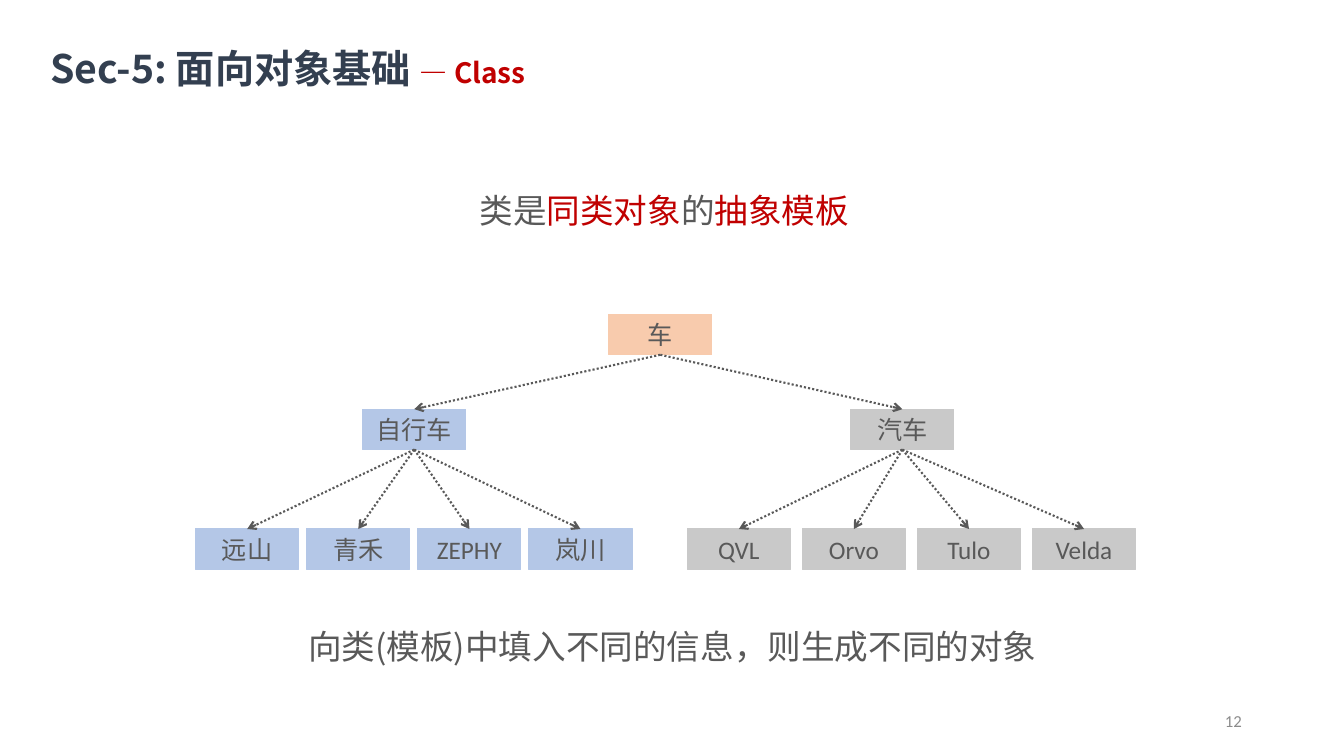
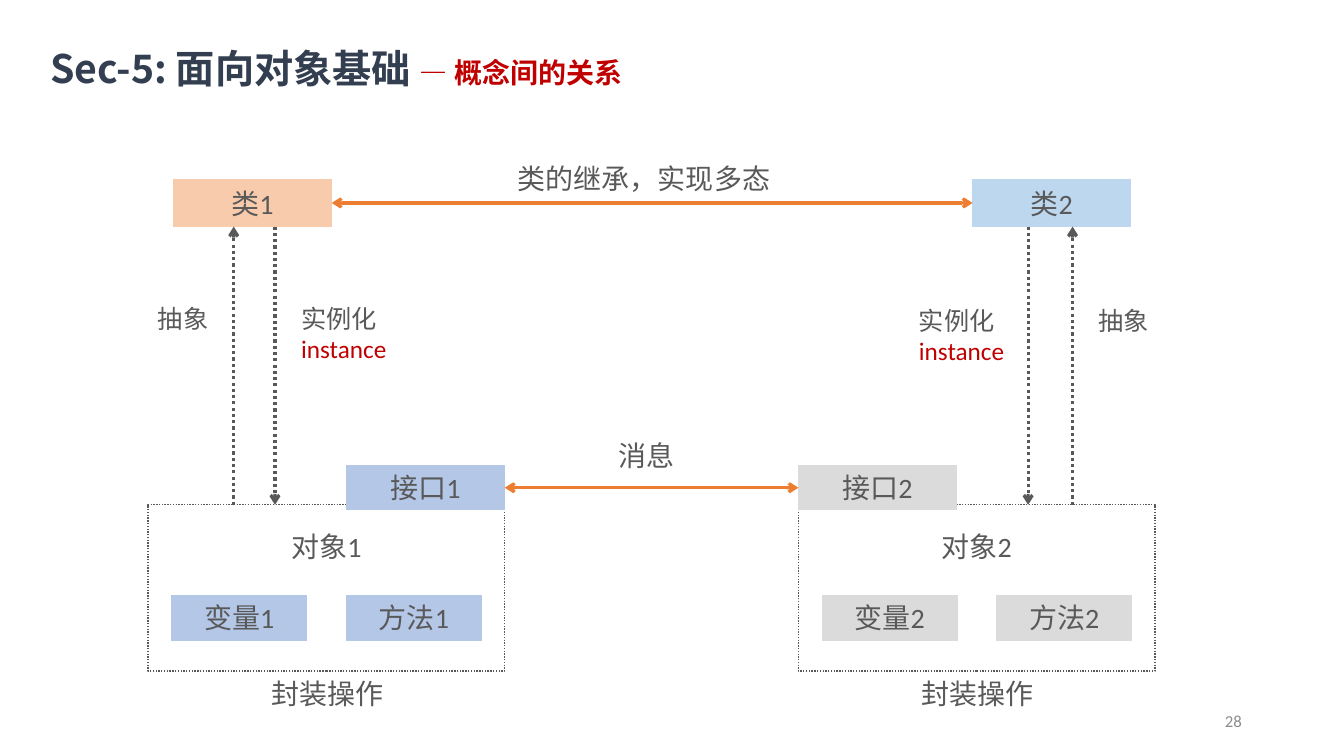
from dataclasses import dataclass
from typing import NamedTuple

from lxml import etree
from pptx import Presentation
from pptx.dml.color import RGBColor
from pptx.enum.dml import MSO_LINE
from pptx.enum.shapes import MSO_CONNECTOR, MSO_SHAPE
from pptx.enum.text import MSO_ANCHOR, MSO_AUTO_SIZE, PP_ALIGN
from pptx.oxml.ns import qn
from pptx.util import Cm, Pt

RECTANGLE = MSO_SHAPE.RECTANGLE
STRAIGHT = MSO_CONNECTOR.STRAIGHT
DOTTED = MSO_LINE.ROUND_DOT
LEFT, CENTER, RIGHT = PP_ALIGN.LEFT, PP_ALIGN.CENTER, PP_ALIGN.RIGHT
TOP, MIDDLE = MSO_ANCHOR.TOP, MSO_ANCHOR.MIDDLE
TITLE_ONLY = 5
TOP_SITE, LEFT_SITE, BOTTOM_SITE, RIGHT_SITE = range(4)


@dataclass(frozen=True)
class Theme:
    latin: str = "Calibri"
    chinese: str = "Noto Sans CJK SC"
    text: str = "595959"
    heading: str = "333F50"
    accent: str = "C00000"
    number: str = "8C8C8C"
    arrow: str = "ED7D31"
    peach: str = "F8CBAD"
    blue: str = "B4C7E7"
    sky: str = "BDD7EE"
    gray: str = "C9C9C9"
    light_gray: str = "DBDBDB"
    title_size: int = 28
    statement_size: int = 24
    label_size: int = 20
    small_size: int = 18
    number_size: int = 12


THEME = Theme()


class Area(NamedTuple):
    """Left, top, width and height in centimetres."""
    left: float
    top: float
    width: float
    height: float

    def lengths(self) -> tuple:
        return tuple(Cm(value) for value in self)


class Span(NamedTuple):
    text: str
    color: str = THEME.text


@dataclass(frozen=True)
class TextStyle:
    size: int = THEME.label_size
    font: str = THEME.latin
    align: PP_ALIGN = CENTER
    anchor: MSO_ANCHOR = TOP
    bold: bool = False


@dataclass(frozen=True)
class Branch:
    name: str
    left: float
    color: str
    leaves: tuple
    first_leaf: float
    step: float


@dataclass(frozen=True)
class ObjectGroup:
    """One class with its object; the shifts are measured from the frame's left."""
    number: int
    left: float
    class_shift: float
    interface_shift: float
    class_color: str
    color: str


LABEL = TextStyle()
NODE = TextStyle(THEME.small_size)
SIDE_LABEL = TextStyle(THEME.small_size, align=LEFT)
CHINESE_LABEL = TextStyle(font=THEME.chinese)
STATEMENT = TextStyle(THEME.statement_size, THEME.chinese)
CLASS_LABEL = TextStyle(anchor=MIDDLE)
PAGE_NUMBER = TextStyle(THEME.number_size, align=RIGHT, anchor=MIDDLE)
TITLE = TextStyle(THEME.title_size, THEME.chinese, LEFT, TOP, True)

BRANCHES = (
    Branch("自行车", 9.14, THEME.blue, ("远山", "青禾", "ZEPHY", "岚川"), 4.93, 2.8),
    Branch("汽车", 21.44, THEME.gray, ("QVL", "Orvo", "Tulo", "Velda"), 17.32, 2.9),
)
GROUPS = (
    ObjectGroup(1, 3.73, 0.64, 5, THEME.peach, THEME.blue),
    ObjectGroup(2, 20.12, 4.39, 0, THEME.sky, THEME.light_gray),
)


def write(frame, paragraphs: list, style: TextStyle) -> None:
    """Fill a text frame with paragraphs, each a list of spans."""
    frame.auto_size = MSO_AUTO_SIZE.NONE
    frame.word_wrap = True
    frame.vertical_anchor = style.anchor
    for index, spans in enumerate(paragraphs):
        paragraph = frame.paragraphs[0] if index == 0 else frame.add_paragraph()
        paragraph.alignment = style.align
        for span in spans:
            run = paragraph.add_run()
            run.text = span.text
            run.font.size = Pt(style.size)
            run.font.name = style.font
            run.font.bold = style.bold
            run.font.color.rgb = RGBColor.from_string(span.color)
            east_asian = etree.SubElement(run.font._element, qn("a:ea"))
            east_asian.set("typeface", THEME.chinese)


def add_text(page, area: Area, paragraphs: list, style: TextStyle = LABEL) -> None:
    box = page.shapes.add_textbox(*area.lengths())
    write(box.text_frame, paragraphs, style)


def add_box(page, area: Area, text: str, color: str, style: TextStyle = LABEL):
    box = page.shapes.add_shape(RECTANGLE, *area.lengths())
    box.shadow.inherit = False
    box.fill.solid()
    box.fill.fore_color.rgb = RGBColor.from_string(color)
    box.line.color.rgb = RGBColor.from_string(color)
    box.line.width = Pt(0.75)
    write(box.text_frame, [[Span(text)]], style)
    return box


def add_frame(page, area: Area) -> None:
    frame = page.shapes.add_shape(RECTANGLE, *area.lengths())
    frame.shadow.inherit = False
    frame.fill.background()
    frame.line.color.rgb = RGBColor.from_string(THEME.text)
    frame.line.width = Pt(1)
    frame.line.dash_style = DOTTED


def add_arrow(page, start: tuple, end: tuple, color: str, width: float, double: bool = False):
    points = [Cm(value) for value in (*start, *end)]
    arrow = page.shapes.add_connector(STRAIGHT, *points)
    arrow.line.color.rgb = RGBColor.from_string(color)
    arrow.line.width = Pt(width)
    if not double:
        arrow.line.dash_style = DOTTED
    line = arrow.line._get_or_add_ln()
    for tag in ("a:headEnd", "a:tailEnd") if double else ("a:tailEnd",):
        etree.SubElement(line, qn(tag)).set("type", "arrow")
    etree.SubElement(arrow._element.spPr, qn("a:effectLst"))
    return arrow


def link(page, source, target, sites: tuple, color: str, width: float, double: bool = False) -> None:
    """Join two boxes with an arrow glued to their connection sites."""
    arrow = add_arrow(page, (0, 0), (1, 1), color, width, double)
    arrow.begin_connect(source, sites[0])
    arrow.end_connect(target, sites[1])


def add_page(deck, topic: str, number: int):
    page = deck.slides.add_slide(deck.slide_layouts[TITLE_ONLY])
    title = page.shapes.title
    title.left, title.top, title.width, title.height = Area(1.27, 1.07, 16.46, 1.22).lengths()
    frame = title.text_frame
    frame.margin_left = frame.margin_right = frame.margin_bottom = 0
    frame.margin_top = Cm(0.05)
    spans = [Span("Sec-5: 面向对象基础 ", THEME.heading), Span("— " + topic, THEME.accent)]
    write(frame, [spans], TITLE)
    frame.paragraphs[0].runs[1].font.size = Pt(THEME.label_size)
    add_text(page, Area(23.93, 17.65, 7.62, 1.02), [[Span(str(number), THEME.number)]], PAGE_NUMBER)
    return page


def build_class_tree(deck) -> None:
    page = add_page(deck, "Class", 12)
    add_text(page, Area(5.74, 4.65, 22, 1.27), [[
        Span("类是"), Span("同类对象", THEME.accent),
        Span("的"), Span("抽象模板", THEME.accent),
    ]], STATEMENT)

    def node(left: float, top: float, text: str, color: str):
        return add_box(page, Area(left, top, 2.6, 1.02), text, color, NODE)

    def descend(parent, child) -> None:
        link(page, parent, child, (BOTTOM_SITE, TOP_SITE), THEME.text, 1.5)

    root = node(15.34, 7.92, "车", THEME.peach)
    for branch in BRANCHES:
        parent = node(branch.left, 10.31, branch.name, branch.color)
        descend(root, parent)
        for index, name in enumerate(branch.leaves):
            left = branch.first_leaf + index * branch.step
            descend(parent, node(left, 13.33, name, branch.color))
    add_text(page, Area(5.54, 15.65, 22.81, 1.27),
             [[Span("向类(模板)中填入不同的信息，则生成不同的对象")]], STATEMENT)


def add_object_group(page, group: ObjectGroup) -> tuple:
    """Draw a class and its object; return the class and interface boxes."""
    left, number = group.left, group.number
    add_frame(page, Area(left, 12.72, 8.99, 4.19))
    add_text(page, Area(left + 2.59, 13.21, 3.81, 1.12), [[Span(f"对象{number}")]])
    for shift, name in ((0.6, "变量"), (5, "方法")):
        add_box(page, Area(left + shift, 15.01, 3.4, 1.12), f"{name}{number}", group.color)
    add_text(page, Area(left + 1.68, 16.92, 5.69, 1.12), [[Span("封装操作")]], CHINESE_LABEL)
    interface = add_box(page, Area(left + group.interface_shift, 11.73, 3.99, 1.12),
                        f"接口{number}", group.color)
    class_box = add_box(page, Area(left + group.class_shift, 4.52, 3.99, 1.19),
                        f"类{number}", group.class_color, CLASS_LABEL)
    return class_box, interface


def build_relations(deck) -> None:
    page = add_page(deck, "概念间的关系", 28)
    first, second = (add_object_group(page, group) for group in GROUPS)
    for source, target in zip(first, second):
        link(page, source, target, (RIGHT_SITE, LEFT_SITE), THEME.arrow, 2.25, True)
    add_text(page, Area(12.52, 3.94, 7.42, 1.12), [[Span("类的继承，实现多态")]], CHINESE_LABEL)
    add_text(page, Area(15.09, 10.92, 2.39, 1.12), [[Span("消息")]])

    class_bottom, object_top = 5.71, 12.72
    for x in (5.89, 27.03):
        add_arrow(page, (x, object_top), (x, class_bottom), THEME.text, 2.25)
    for x in (6.93, 25.91):
        add_arrow(page, (x, class_bottom), (x, object_top), THEME.text, 2.25)

    abstraction = [[Span("抽象")]]
    instantiation = [[Span("实例化")], [Span("instance", THEME.accent)]]
    for area in (Area(3.73, 7.52, 2.16, 1.02), Area(27.43, 7.57, 3.5, 1.02)):
        add_text(page, area, abstraction, SIDE_LABEL)
    for area in (Area(7.34, 7.52, 3.5, 1.8), Area(22.91, 7.57, 3.07, 1.8)):
        add_text(page, area, instantiation, SIDE_LABEL)


def main() -> None:
    deck = Presentation()
    deck.slide_width, deck.slide_height = Cm(33.87), Cm(19.05)
    build_class_tree(deck)
    build_relations(deck)
    deck.save("out.pptx")


if __name__ == "__main__":
    main()
